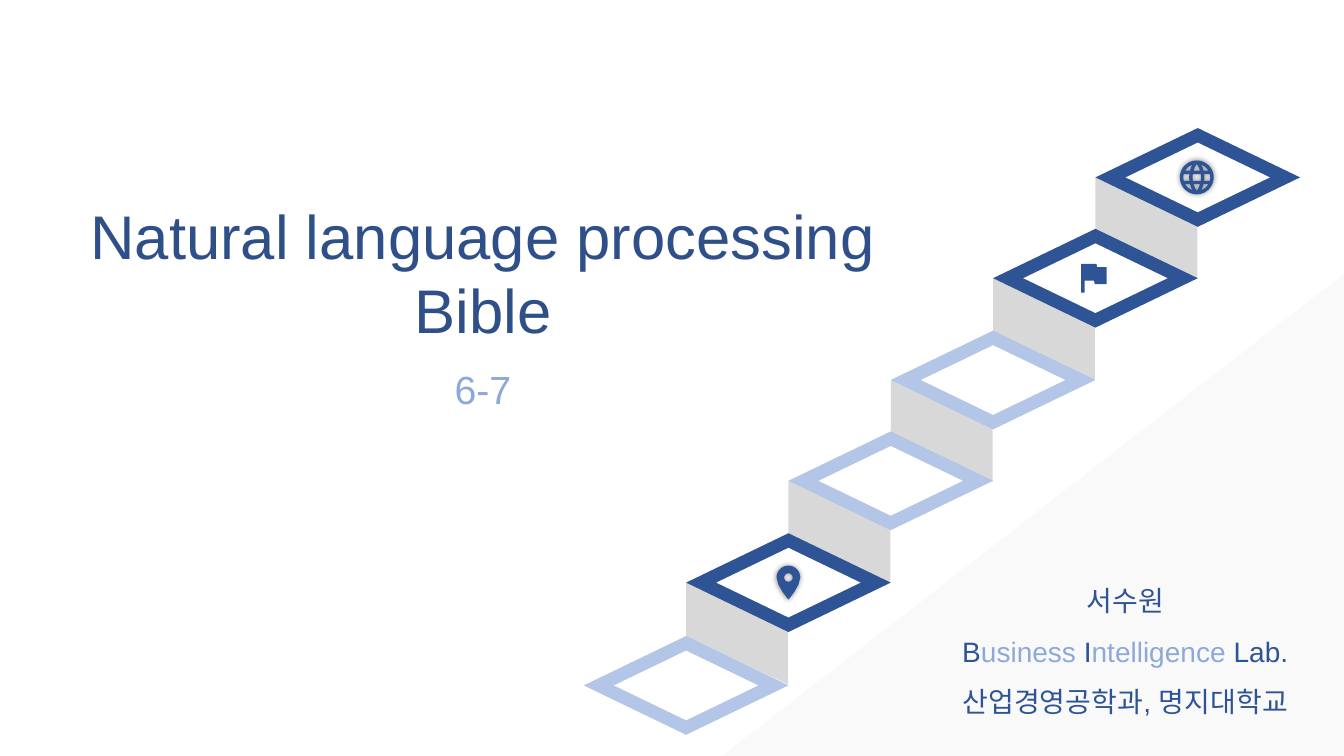
import math

from lxml import etree
from pptx import Presentation
from pptx.dml.color import RGBColor
from pptx.enum import shapes, text
from pptx.oxml import ns
from pptx.util import Inches, Pt

NAVY, PALE, SKY = "2F5496", "B3C6E7", "8DA9DB"
TITLE, GREY, WHITE, CORNER = "2E4F88", "D8D8D8", "FFFFFF", "F2F2F2"
FONT = "Arial"

# Staircase, from the lowest step: top edge and colour of each diamond
STEPS = [(6.31, PALE), (5.29, NAVY), (4.28, PALE), (3.28, PALE), (2.27, NAVY), (1.27, NAVY)]
STEP_LEFT, STEP_WIDTH, STEP_HEIGHT = 5.79, 2.03, 0.98
RISER = 1.01
BORDER_X, BORDER_Y = 0.3, 0.145
ICON_UNIT = 0.0168  # inches per icon grid unit


def color(value):
    return RGBColor.from_string(value)


def paint(shape, fill):
    shape.shadow.inherit = False
    shape.fill.solid()
    shape.fill.fore_color.rgb = color(fill)
    shape.line.fill.background()


def add_preset(slide, kind, left, top, width, height, fill):
    shape = slide.shapes.add_shape(
        kind, Inches(left), Inches(top), Inches(width), Inches(height))
    paint(shape, fill)
    return shape


def add_corner(slide):
    corner = add_preset(slide, shapes.MSO_SHAPE.RIGHT_TRIANGLE, 7.16, 2.71, 6.18, 4.79, CORNER)
    properties = corner._element.spPr
    properties.find(ns.qn("a:xfrm")).set("flipH", "1")
    fill = properties.find(ns.qn("a:solidFill"))
    etree.SubElement(fill[0], ns.qn("a:alpha"), val="40000")


def add_riser(slide, left, top):
    riser = add_preset(slide, shapes.MSO_SHAPE.PARALLELOGRAM, left, top, RISER, RISER, GREY)
    riser.adjustments[0] = 0.469
    riser.rotation = 270


def add_step(slide, left, top, fill):
    diamond = shapes.MSO_SHAPE.DIAMOND
    add_preset(slide, diamond, left, top, STEP_WIDTH, STEP_HEIGHT, fill)
    add_preset(slide, diamond, left + BORDER_X, top + BORDER_Y,
               STEP_WIDTH - 2 * BORDER_X, STEP_HEIGHT - 2 * BORDER_Y, WHITE)


def arc(radius, center_y=0, start=0, end=360, count=48):
    angles = [math.radians(start + (end - start) * i / count) for i in range(count + 1)]
    return [(radius * math.cos(a), center_y + radius * math.sin(a)) for a in angles]


def mirror(points, x=1, y=1):
    return [(x * px, y * py) for px, py in points]


def pin_contours():
    side = [(5.9, 1.25), (3.5, 5.47), (1.09, 8.71)]
    outline = arc(7, -3, 180, 360) + side + [(0, 10)] + mirror(side, x=-1)[::-1]
    return [outline, arc(2.5, -3)]


def flag_contours():
    return [[(1.9, -6.5), (1.5, -8.5), (-7.5, -8.5), (-7.5, 8.5), (-5.5, 8.5),
             (-5.5, 1.5), (0.1, 1.5), (0.5, 3.5), (7.5, 3.5), (7.5, -6.5)]]


def globe_contours():
    middle = [(2.34, -2), (2.5, 0), (2.34, 2), (-2.34, 2), (-2.5, 0), (-2.34, -2)]
    cap = [(0, -7.96), (1.1, -6.1), (1.91, -4), (-1.91, -4), (-1.1, -6.1)]
    side = [(4.36, -2), (4.5, 0), (4.36, 2), (7.74, 2), (8, 0), (7.74, -2)]
    corner = [(3.97, -4), (3.4, -5.9), (2.59, -7.56), (5.1, -6.2), (6.92, -4)]
    holes = [middle, cap, mirror(cap, y=-1), side, mirror(side, x=-1)]
    holes += [mirror(corner, x, y) for x in (1, -1) for y in (1, -1)]
    return [arc(10)] + holes


def add_icon(slide, contours, center_x, center_y, glow=False):
    def place(point):
        return (Inches(center_x + point[0] * ICON_UNIT), Inches(center_y + point[1] * ICON_UNIT))

    builder = slide.shapes.build_freeform(*place(contours[0][0]), scale=1.0)
    for index, contour in enumerate(contours):
        points = [place(point) for point in contour]
        if index:
            builder.move_to(*points[0])
        builder.add_line_segments(points[1:], close=True)
    icon = builder.convert_to_shape()
    paint(icon, NAVY)
    if glow:
        effects = icon._element.spPr.find(ns.qn("a:effectLst"))
        shadow = etree.SubElement(effects, ns.qn("a:outerShdw"),
                                  blurRad=str(Pt(4)), dist="0", dir="0")
        black = etree.SubElement(shadow, ns.qn("a:srgbClr"), val="000000")
        etree.SubElement(black, ns.qn("a:alpha"), val="45000")


def add_text(slide, left, top, width, height, lines, size, fill, spacing=None):
    """Each line is a list of (words, colour) runs; None takes the main colour."""
    box = slide.shapes.add_textbox(Inches(left), Inches(top), Inches(width), Inches(height))
    frame = box.text_frame
    frame.word_wrap = True
    frame.auto_size = text.MSO_AUTO_SIZE.SHAPE_TO_FIT_TEXT
    frame.vertical_anchor = text.MSO_ANCHOR.MIDDLE
    frame.margin_left = frame.margin_right = frame.margin_top = frame.margin_bottom = 0
    for index, runs in enumerate(lines):
        paragraph = frame.add_paragraph() if index else frame.paragraphs[0]
        paragraph.alignment = text.PP_ALIGN.CENTER
        paragraph.line_spacing = spacing
        paragraph.font.name = FONT
        paragraph.font.size = Pt(size)
        paragraph.font.color.rgb = color(fill)
        for words, run_fill in runs:
            run = paragraph.add_run()
            run.text = words
            if run_fill:
                run.font.color.rgb = color(run_fill)


def main():
    presentation = Presentation()
    presentation.slide_width, presentation.slide_height = Inches(13.33), Inches(7.5)
    slide = presentation.slides.add_slide(presentation.slide_layouts[6])

    # Shaded corner
    add_corner(slide)

    # Staircase: risers behind the diamonds
    places = [(STEP_LEFT + i * STEP_WIDTH / 2, top, fill) for i, (top, fill) in enumerate(STEPS)]
    for left, top, _ in places[1:]:
        add_riser(slide, left, top + STEP_HEIGHT / 2)
    for left, top, fill in places:
        add_step(slide, left, top, fill)

    # Icons on the dark steps
    add_icon(slide, pin_contours(), 7.82, 5.78, glow=True)
    add_icon(slide, globe_contours(), 11.87, 1.76, glow=True)
    add_icon(slide, flag_contours(), 10.85, 2.76)

    # Title, chapters and author
    add_text(slide, 0.45, 1.96, 8.68, 1.48,
             [[("Natural language processing", None)], [("Bible", None)]], 44, TITLE)
    add_text(slide, 0.45, 3.62, 8.68, 0.47, [[("6-7", None)]], 28, SKY)
    add_text(slide, 9.32, 5.62, 3.68, 1.51, [
        [("서수원", None)],
        [("B", None), ("usiness ", SKY), ("I", None), ("ntelligence ", SKY), ("Lab.", None)],
        [("산업경영공학과, 명지대학교", None)],
    ], 20, NAVY, spacing=1.5)

    presentation.save("out.pptx")


main()
